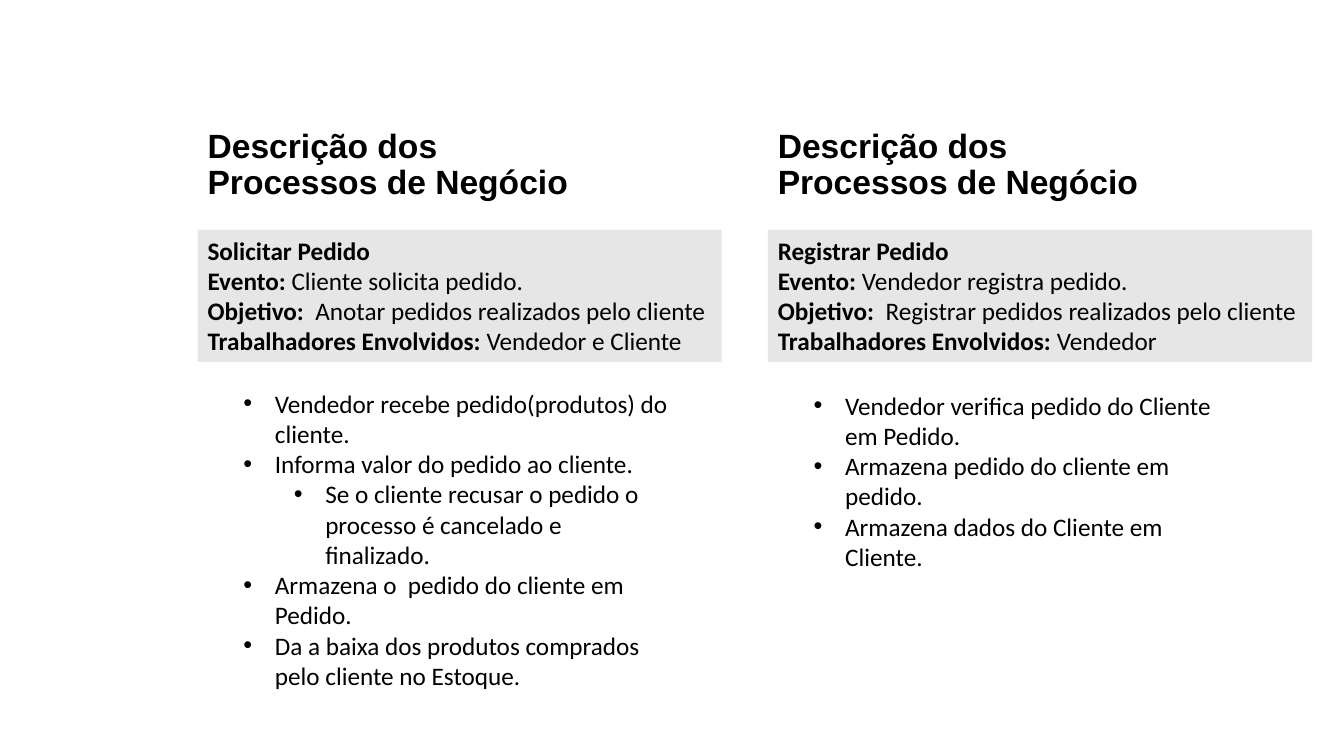
from dataclasses import dataclass

from lxml.etree import SubElement
from pptx import Presentation
from pptx.dml.color import RGBColor
from pptx.enum.shapes import MSO_SHAPE
from pptx.enum.text import MSO_ANCHOR, PP_ALIGN
from pptx.oxml.ns import qn
from pptx.slide import Slide
from pptx.text.text import TextFrame, _Paragraph
from pptx.util import Pt

BLACK = RGBColor(0x00, 0x00, 0x00)
GREY = RGBColor(0xE7, 0xE6, 0xE6)
WHITE = RGBColor(0xFF, 0xFF, 0xFF)

TITLE_LINES = ("Descrição dos", "Processos de Negócio")
TITLE_TOP, TITLE_WIDTH, TITLE_HEIGHT = 76.3, 371.5, 71.3
SUMMARY_TOP, SUMMARY_HEIGHT = 164.2, 94.3
STEPS_OFFSET, STEPS_WIDTH = 25.6, 319.7
BULLET_INDENT, LEVEL_INDENT = 22.5, 36


@dataclass(frozen=True)
class Step:
    """One bulleted step of a process."""
    text: str
    level: int = 0


@dataclass(frozen=True)
class Process:
    """One column: a business process with its summary and steps."""
    left: float
    name: str
    fields: tuple[tuple[str, str], ...]
    summary_width: float
    steps_top: float
    steps_height: float
    steps: tuple[Step, ...]


PROCESSES = (
    Process(
        141.2, "Solicitar Pedido",
        (("Evento: ", "Cliente solicita pedido."),
         ("Objetivo:  ", "Anotar pedidos realizados pelo cliente"),
         ("Trabalhadores Envolvidos: ", "Vendedor e Cliente")),
        374.4, 273.6, 247,
        (Step("Vendedor recebe pedido(produtos) do cliente."),
         Step("Informa valor do pedido ao cliente."),
         Step("Se o cliente recusar o pedido o processo é cancelado e finalizado.", 1),
         Step("Armazena o  pedido do cliente em Pedido."),
         Step("Da a baixa dos produtos comprados pelo cliente no Estoque.")),
    ),
    Process(
        548.5, "Registrar Pedido",
        (("Evento: ", "Vendedor registra pedido."),
         ("Objetivo:  ", "Registrar pedidos realizados pelo cliente"),
         ("Trabalhadores Envolvidos: ", "Vendedor")),
        388.8, 275, 160,
        (Step("Vendedor verifica pedido do Cliente em Pedido."),
         Step("Armazena pedido do cliente em pedido."),
         Step("Armazena dados do Cliente em Cliente.")),
    ),
)


def add_run(p: _Paragraph, text: str, bold: bool = False,
            font: str = "Calibri", size: float = 18) -> None:
    """Append a black run to a paragraph."""
    r = p.add_run()
    r.text = text
    r.font.name, r.font.size, r.font.bold = font, Pt(size), bold
    r.font.color.rgb = BLACK


def next_paragraph(tf: TextFrame, index: int) -> _Paragraph:
    """Return the first paragraph, or a new one for later indexes."""
    p = tf.add_paragraph() if index else tf.paragraphs[0]
    p.alignment = PP_ALIGN.LEFT
    return p


def add_text_box(s: Slide, left: float, top: float,
                 width: float, height: float) -> TextFrame:
    """Add a wrapping text box and return its text frame."""
    tf = s.shapes.add_textbox(Pt(left), Pt(top), Pt(width), Pt(height)).text_frame
    tf.word_wrap = True
    return tf


def add_title(s: Slide, left: float) -> None:
    """Add the bottom-anchored heading of a column."""
    tf = add_text_box(s, left, TITLE_TOP, TITLE_WIDTH, TITLE_HEIGHT)
    tf.vertical_anchor = MSO_ANCHOR.BOTTOM
    p = next_paragraph(tf, 0)
    p.line_spacing = 0.9
    for i, line in enumerate(TITLE_LINES):
        if i:
            p.add_line_break()
        add_run(p, line, True, "Arial", 24)


def add_summary(s: Slide, process: Process) -> None:
    """Add the grey box with the process name and its labelled fields."""
    sp = s.shapes.add_shape(MSO_SHAPE.RECTANGLE, Pt(process.left), Pt(SUMMARY_TOP),
                            Pt(process.summary_width), Pt(SUMMARY_HEIGHT))
    sp.shadow.inherit = False
    sp.fill.solid()
    sp.fill.fore_color.rgb = GREY
    sp.line.fill.background()
    tf = sp.text_frame
    tf.word_wrap = False
    tf.vertical_anchor = MSO_ANCHOR.TOP
    for i, (label, value) in enumerate(((process.name, ""), *process.fields)):
        p = next_paragraph(tf, i)
        add_run(p, label, True)
        if value:
            add_run(p, value)


def set_bullet(p: _Paragraph, level: int) -> None:
    """Give a paragraph a hanging bullet at the given level."""
    p.level = level
    pPr = p._p.get_or_add_pPr()
    pPr.set("marL", str(Pt(BULLET_INDENT + level * LEVEL_INDENT)))
    pPr.set("indent", str(-Pt(BULLET_INDENT)))
    SubElement(pPr, qn("a:buFont"), typeface="Arial")
    SubElement(pPr, qn("a:buChar"), char="•")


def add_steps(s: Slide, process: Process) -> None:
    """Add the bulleted steps of a process."""
    tf = add_text_box(s, process.left + STEPS_OFFSET, process.steps_top,
                      STEPS_WIDTH, process.steps_height)
    for i, step in enumerate(process.steps):
        p = next_paragraph(tf, i)
        set_bullet(p, step.level)
        add_run(p, step.text)


def main() -> None:
    """Build and save the slide."""
    prs = Presentation()
    prs.slide_width, prs.slide_height = Pt(960), Pt(540)
    s = prs.slides.add_slide(prs.slide_layouts[6])
    s.background.fill.solid()
    s.background.fill.fore_color.rgb = WHITE
    for process in PROCESSES:
        add_title(s, process.left)
        add_summary(s, process)
        add_steps(s, process)
    prs.save("out.pptx")


main()
